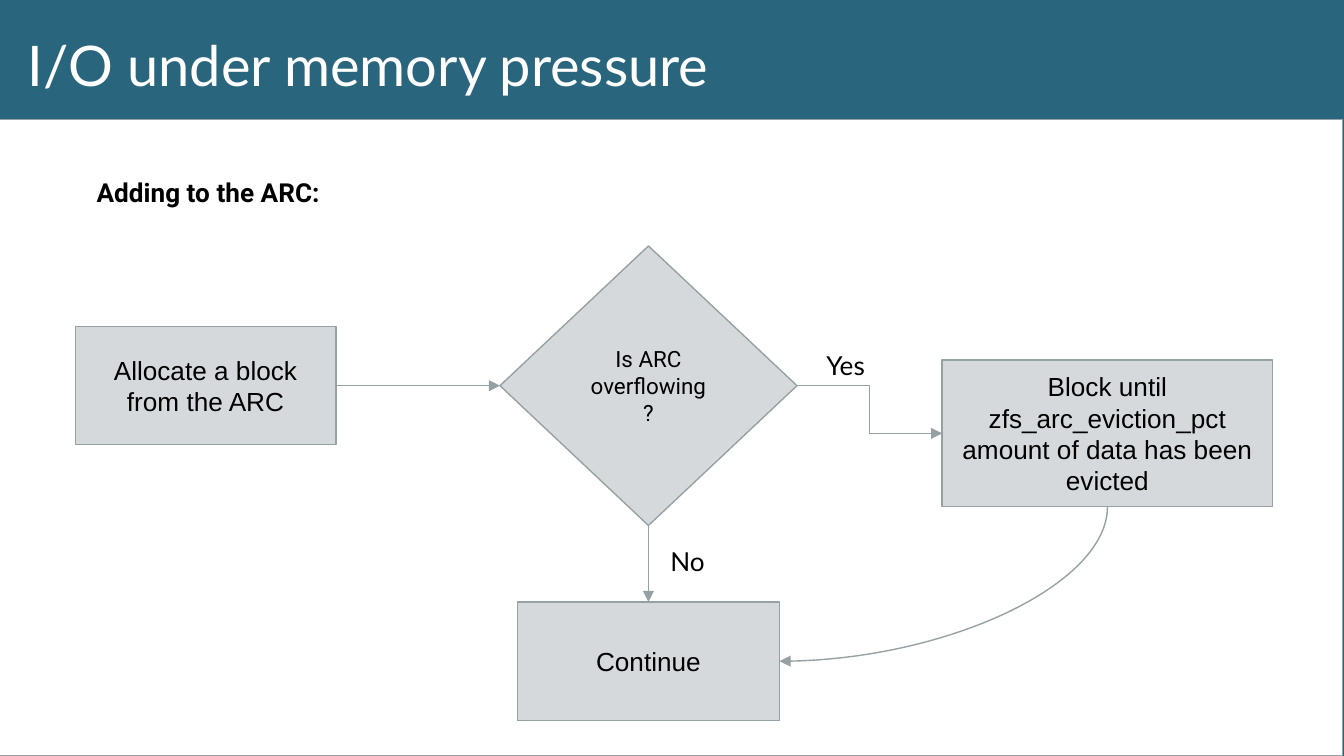
"""Build a flowchart slide about adding blocks to the ARC under memory pressure."""
from pptx import Presentation
from pptx.dml.color import RGBColor
from pptx.enum.shapes import MSO_CONNECTOR as Link, MSO_SHAPE as Shape
from pptx.enum.text import MSO_ANCHOR as Anchor, PP_ALIGN as Align
from pptx.oxml.ns import qn
from pptx.util import Inches, Pt
from lxml import etree

TEAL, WHITE, BLACK, PALE, GRAY = "29667E", "FFFFFF", "000000", "D5D9DB", "96A1A4"
TOP, LEFT, BOTTOM, RIGHT = range(4)
WIDTH = 10
HEIGHT = WIDTH * 9 / 16

PANEL = (-0.08, 0.89, 10.07, 4.73)
LABELS = [
    ("I/O under memory pressure", (0.11, 0.13, 6.55, 0.63), "Lato", 30, WHITE, False),
    ("Adding to the ARC:", (0.62, 1.21, 2.22, 0.41), "Roboto", 14, BLACK, True),
    ("Yes", (6.05, 2.5, 0.84, 0.31), "Lato", 14, BLACK, False),
    ("No", (4.89, 3.96, 0.84, 0.31), "Lato", 14, BLACK, False),
]
STEPS = {
    "allocate": ("Allocate a block from the ARC", Shape.RECTANGLE,
                 (0.56, 2.43, 1.94, 0.88), "Arial", 14),
    "overflow": ("Is ARC overflowing?", Shape.DIAMOND,
                 (3.72, 1.83, 2.21, 2.08), "Roboto", 12),
    "evict": ("Block until zfs_arc_eviction_pct amount of data has been evicted",
              Shape.RECTANGLE, (7.01, 2.68, 2.46, 1.09), "Arial", 14),
    "continue": ("Continue", Shape.RECTANGLE, (3.85, 4.48, 1.95, 0.88), "Arial", 14),
}
ARROWS = [
    ("allocate", RIGHT, "overflow", LEFT, Link.STRAIGHT),
    ("overflow", RIGHT, "evict", LEFT, Link.ELBOW),
    ("overflow", BOTTOM, "continue", TOP, Link.STRAIGHT),
    ("evict", BOTTOM, "continue", RIGHT, Link.CURVE),
]


def color(value):
    return RGBColor.from_string(value)


def place(frame):
    return [Inches(length) for length in frame]


def write(box, text, font, size, ink, bold=False, align=Align.LEFT, anchor=Anchor.TOP):
    frame = box.text_frame
    frame.text = text
    frame.word_wrap = True
    frame.vertical_anchor = anchor
    frame.margin_left = frame.margin_right = Inches(0.1)
    frame.margin_top = frame.margin_bottom = Inches(0.1)
    para = frame.paragraphs[0]
    para.alignment = align
    span = para.runs[0].font
    span.name, span.size, span.bold = font, Pt(size), bold
    span.color.rgb = color(ink)


def add_block(page, kind, frame, fill):
    block = page.shapes.add_shape(kind, *place(frame))
    block.shadow.inherit = False
    block.fill.solid()
    block.fill.fore_color.rgb = color(fill)
    block.line.color.rgb = color(GRAY)
    block.line.width = Pt(0.75)
    return block


def turn_quarter(arrow):
    """Make a curve that leaves downward and arrives leftward."""
    width, height = arrow.width, arrow.height
    arrow.left += (width - height) // 2
    arrow.top += (height - width) // 2
    arrow.width, arrow.height = height, width
    xfrm = arrow._element.spPr.find(qn("a:xfrm"))
    xfrm.attrib.pop("flipH", None)
    xfrm.set("rot", "5400000")
    arrow._element.spPr.find(qn("a:prstGeom")).set("prst", "curvedConnector2")


def add_arrow(page, start, start_site, end, end_site, kind):
    arrow = page.shapes.add_connector(kind, 0, 0, 0, 0)
    arrow.begin_connect(start, start_site)
    arrow.end_connect(end, end_site)
    arrow.line.color.rgb = color(GRAY)
    arrow.line.width = Pt(0.75)
    etree.SubElement(arrow.line._get_or_add_ln(), qn("a:tailEnd"), type="triangle")
    etree.SubElement(arrow._element.spPr, qn("a:effectLst"))
    if kind == Link.CURVE:
        turn_quarter(arrow)


def main():
    deck = Presentation()
    deck.slide_width, deck.slide_height = Inches(WIDTH), Inches(HEIGHT)
    page = deck.slides.add_slide(deck.slide_layouts[6])
    page.background.fill.solid()
    page.background.fill.fore_color.rgb = color(TEAL)
    add_block(page, Shape.RECTANGLE, PANEL, WHITE)

    blocks = {}
    for name, (text, kind, frame, font, size) in STEPS.items():
        blocks[name] = add_block(page, kind, frame, PALE)
        write(blocks[name], text, font, size, BLACK, align=Align.CENTER, anchor=Anchor.MIDDLE)
    for start, start_site, end, end_site, kind in ARROWS:
        add_arrow(page, blocks[start], start_site, blocks[end], end_site, kind)
    for text, frame, *style in LABELS:
        write(page.shapes.add_textbox(*place(frame)), text, *style)
    deck.save("out.pptx")


if __name__ == "__main__":
    main()
